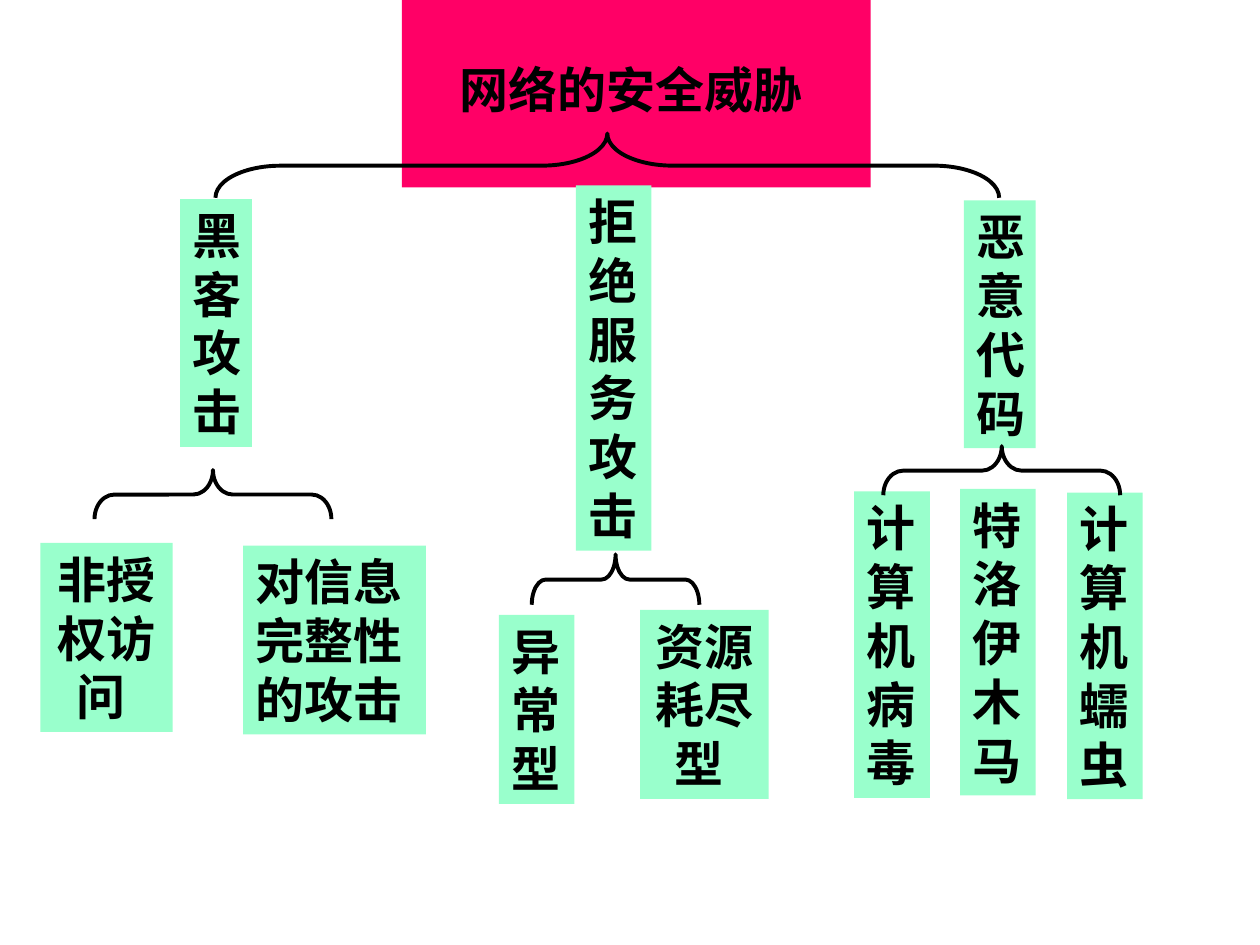
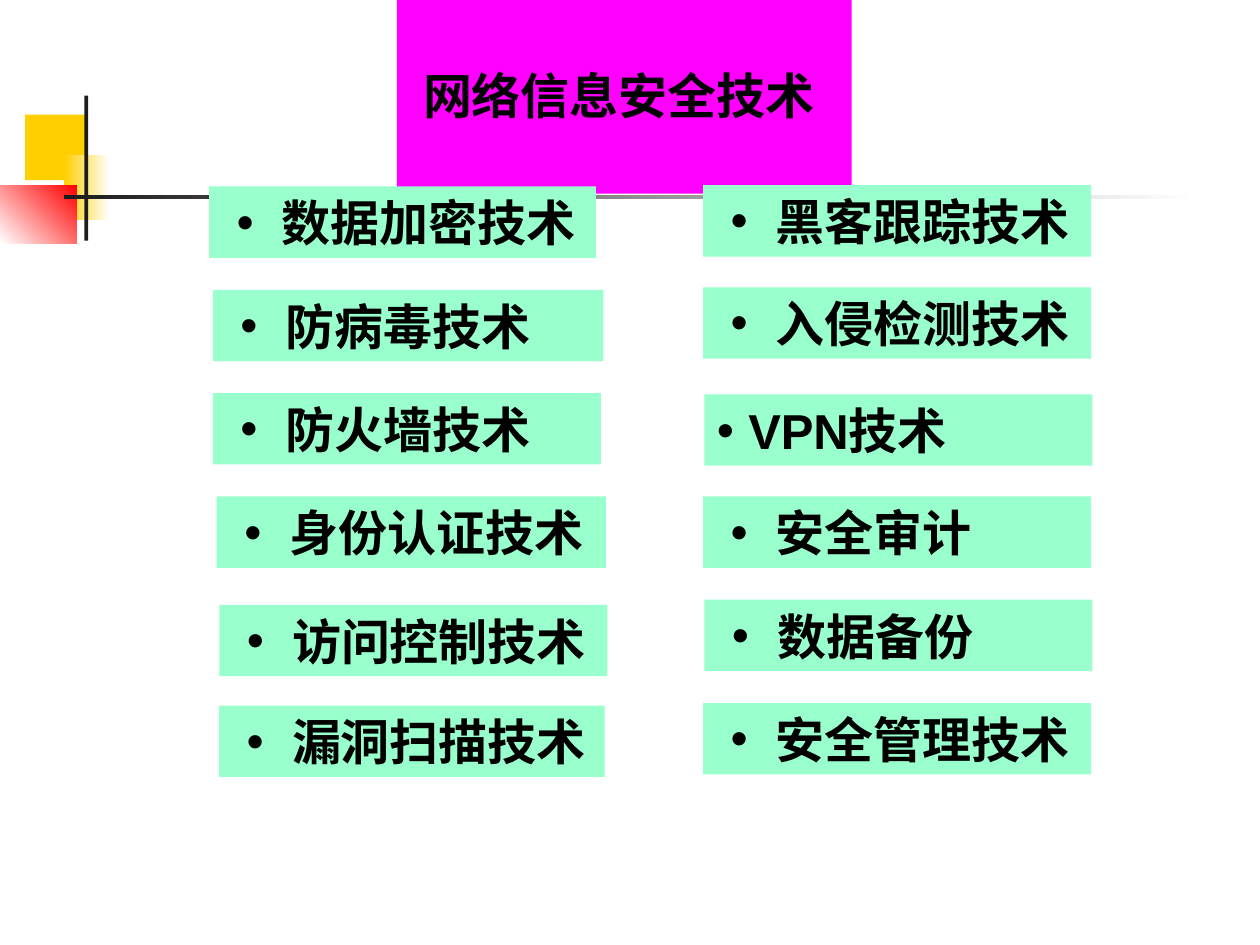
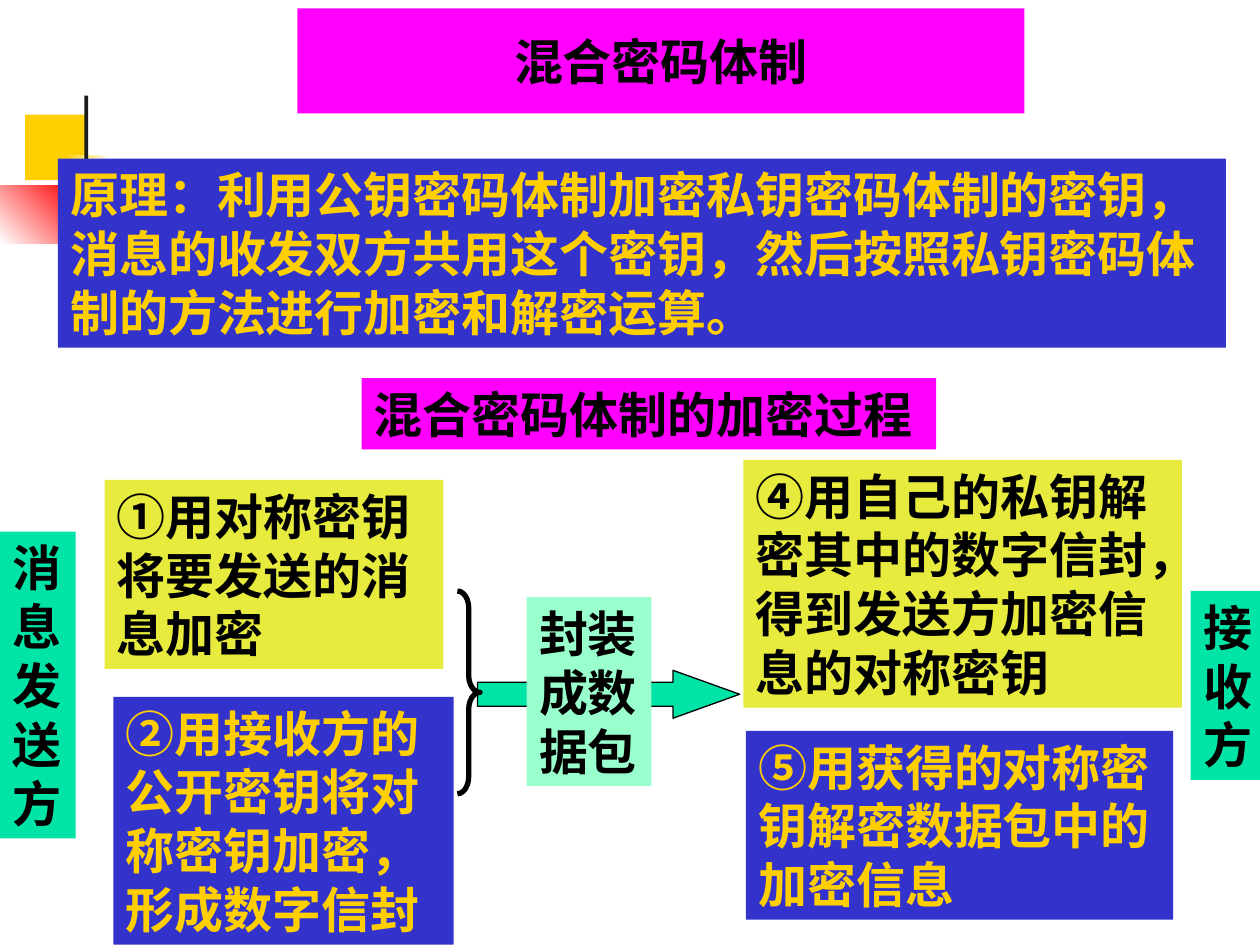
from dataclasses import dataclass

from lxml import etree
from pptx import Presentation
from pptx.dml.color import RGBColor
from pptx.enum.lang import MSO_LANGUAGE_ID
from pptx.enum.shapes import MSO_SHAPE
from pptx.enum.text import MSO_ANCHOR, MSO_AUTO_SIZE, PP_ALIGN
from pptx.oxml.ns import qn
from pptx.shapes.autoshape import Shape
from pptx.slide import Slide
from pptx.util import Inches, Pt

RECTANGLE = MSO_SHAPE.RECTANGLE
RIGHT_ARROW = MSO_SHAPE.RIGHT_ARROW
LEFT_BRACE = MSO_SHAPE.LEFT_BRACE
RIGHT_BRACE = MSO_SHAPE.RIGHT_BRACE
LEFT = PP_ALIGN.LEFT
CENTER = PP_ALIGN.CENTER
MIDDLE = MSO_ANCHOR.MIDDLE
FIT_SHAPE = MSO_AUTO_SIZE.SHAPE_TO_FIT_TEXT
CHINESE = MSO_LANGUAGE_ID.SIMPLIFIED_CHINESE

COLOURS = {
    "black": "000000",
    "white": "FFFFFF",
    "charcoal": "1C1C1C",
    "crimson": "FF0066",
    "magenta": "FF00FF",
    "mint": "99FFCC",
    "teal": "00E4A8",
    "lime": "E7EB3D",
    "blue": "3333CC",
    "gold": "FFCF01",
    "red": "FF0000",
}
FONT = "Arial"
TEXT_SIZE = 28
LINE_HEIGHT = TEXT_SIZE / 60
TITLE_ONLY = 5


@dataclass(frozen=True)
class Label:
    """A filled text box whose height follows from its number of lines."""

    text: str
    left: float
    top: float
    width: float
    lines: int = 1
    fill: str = "mint"
    colour: str = "black"
    align: PP_ALIGN = LEFT


@dataclass(frozen=True)
class Brace:
    """The visible extent of a brace that opens downwards."""

    left: float
    top: float
    width: float
    height: float


@dataclass(frozen=True)
class Ornament:
    """A template rectangle, plain or fading from fill to fade."""

    left: float
    top: float
    width: float
    height: float
    fill: str
    fade: str = ""
    angle: int = 180


ORNAMENTS = [
    Ornament(0.2, 0.91, 0.48, 0.52, "gold"),
    Ornament(0.51, 1.23, 0.36, 0.52, "white", "gold"),
    Ornament(0, 1.47, 0.61, 0.46, "red", "white", 225),
    Ornament(0.67, 0.76, 0.03, 1.15, "charcoal"),
]
RULE = Ornament(0.51, 1.55, 9, 0.03, "white", "charcoal")

THREAT_TITLE = Label("网络的安全威胁 ", 3.19, 0.42, 3.72, fill="crimson", align=CENTER)
THREATS = [
    Label("黑客攻击", 1.43, 1.58, 0.57, 4),
    Label("恶意代码", 7.65, 1.59, 0.57, 4),
    Label("拒绝服务攻击", 4.57, 1.47, 0.6, 6),
    Label("非授权访问 ", 0.32, 4.31, 1.05, 3, align=CENTER),
    Label("对信息完整性的攻击", 1.93, 4.33, 1.45, 3),
    Label("计算机病毒", 6.78, 3.9, 0.6, 5),
    Label("特洛伊木马", 7.62, 3.88, 0.6, 5),
    Label("计算机蠕虫", 8.47, 3.91, 0.6, 5),
    Label("资源耗尽型 ", 5.08, 4.84, 1.02, 3, align=CENTER),
    Label("异常型", 3.96, 4.88, 0.6, 3),
]
THREAT_BRACES = [
    Brace(1.71, 1.06, 6.22, 0.51),
    Brace(0.75, 3.73, 1.88, 0.39),
    Brace(7.01, 3.54, 1.88, 0.39),
    Brace(4.22, 4.4, 1.33, 0.4),
]

TECHNIQUE_TITLE = Label("网络信息安全技术 ", 3.15, 0.47, 3.61, fill="magenta", align=CENTER)
TECHNIQUES = [
    Label("数据加密技术", 1.66, 1.48, 3.07),
    Label("防病毒技术", 1.69, 2.3, 3.1),
    Label("防火墙技术", 1.69, 3.12, 3.08),
    Label("身份认证技术", 1.72, 3.94, 3.09),
    Label("访问控制技术", 1.74, 4.8, 3.08),
    Label("漏洞扫描技术", 1.74, 5.6, 3.06),
    Label("黑客跟踪技术", 5.58, 1.47, 3.08),
    Label("入侵检测技术", 5.58, 2.28, 3.08),
    Label("VPN技术", 5.59, 3.13, 3.08),
    Label("安全审计", 5.58, 3.94, 3.08),
    Label("数据备份", 5.59, 4.76, 3.08),
    Label("安全管理技术", 5.58, 5.58, 3.08),
]

HYBRID_TITLE = Label("混合密码体制", 2.36, 0.2, 5.77, fill="magenta", align=CENTER)
HYBRID_STEPS = [
    Label("原理：利用公钥密码体制加密私钥密码体制的密钥，消息的收发双方共用这个密钥，"
          "然后按照私钥密码体制的方法进行加密和解密运算。",
          0.46, 1.26, 9.27, 3, "blue", "gold"),
    Label("混合密码体制的加密过程", 2.87, 3, 4.56, fill="magenta"),
    Label("①用对称密钥将要发送的消息加密", 0.83, 3.81, 2.69, 3, "lime"),
    Label("②用接收方的公开密钥将对称密钥加密，形成数字信封",
          0.9, 5.53, 2.7, 4, "blue", "gold"),
    Label("消息发送方", 0, 4.22, 0.6, 5, "teal"),
    Label("封装成数据包", 4.18, 4.74, 0.99, 3),
    Label("④用自己的私钥解密其中的数字信封，得到发送方加密信息的对称密钥",
          5.9, 3.65, 3.48, 4, "lime"),
    Label("接收方", 9.45, 4.69, 0.55, 3, "teal"),
    Label("⑤用获得的对称密钥解密数据包中的加密信息",
          5.92, 5.8, 3.39, 3, "blue", "gold"),
]


def rgb(name: str) -> RGBColor:
    """Look up a colour by name."""
    return RGBColor.from_string(COLOURS[name])


def style_label(box: Shape, label: Label) -> None:
    """Place a box, fill it and set its text."""
    box.left, box.top = Inches(label.left), Inches(label.top)
    box.width = Inches(label.width)
    box.height = Inches(0.1 + LINE_HEIGHT * label.lines)
    box.fill.solid()
    box.fill.fore_color.rgb = rgb(label.fill)
    frame = box.text_frame
    frame.text = label.text
    frame.word_wrap = True
    frame.auto_size = FIT_SHAPE
    frame.vertical_anchor = MIDDLE
    para = frame.paragraphs[0]
    para.alignment = label.align
    font = para.runs[0].font
    font.name, font.size, font.bold = FONT, Pt(TEXT_SIZE), True
    font.color.rgb = rgb(label.colour)
    font.language_id = CHINESE


def add_label(slide: Slide, label: Label) -> Shape:
    """Add a filled text box."""
    box = slide.shapes.add_textbox(0, 0, 0, 0)
    style_label(box, label)
    return box


def add_bullet(box: Shape, margin: float, hang: float) -> None:
    """Give the only paragraph of a box a hanging bullet."""
    properties = box.text_frame.paragraphs[0]._p.get_or_add_pPr()
    properties.set("marL", str(Inches(margin)))
    properties.set("indent", str(-Inches(hang)))
    bullet_font = etree.SubElement(properties, qn("a:buFont"))
    bullet_font.set("typeface", FONT)
    etree.SubElement(properties, qn("a:buChar")).set("char", "•")


def add_plain_shape(slide: Slide, kind: MSO_SHAPE, left: float, top: float,
                    width: float, height: float) -> Shape:
    """Add a preset shape without a shadow."""
    shape = slide.shapes.add_shape(
        kind, Inches(left), Inches(top), Inches(width), Inches(height))
    shape.shadow.inherit = False
    return shape


def add_upright_brace(slide: Slide, kind: MSO_SHAPE, left: float, top: float,
                      width: float, height: float, weight: float) -> Shape:
    """Add a black brace whose curls take a twelfth of its height."""
    brace = add_plain_shape(slide, kind, left, top, width, height)
    brace.adjustments[0] = height / 12 / width
    brace.fill.background()
    brace.line.color.rgb = rgb("black")
    brace.line.width = Pt(weight)
    return brace


def add_downward_brace(slide: Slide, brace: Brace) -> None:
    """Turn an upright brace so that its tip points up."""
    shift = (brace.width - brace.height) / 2
    shape = add_upright_brace(slide, LEFT_BRACE, brace.left + shift,
                              brace.top - shift, brace.height, brace.width, 2.25)
    shape.rotation = 90


def add_ornament(slide: Slide, ornament: Ornament) -> None:
    """Add one rectangle of the template's decoration."""
    shape = add_plain_shape(slide, RECTANGLE, ornament.left, ornament.top,
                            ornament.width, ornament.height)
    shape.line.fill.background()
    if ornament.fade:
        shape.fill.gradient()
        shape.fill.gradient_angle = ornament.angle
        for stop, name in zip(shape.fill.gradient_stops, (ornament.fill, ornament.fade)):
            stop.color.rgb = rgb(name)
    else:
        shape.fill.solid()
        shape.fill.fore_color.rgb = rgb(ornament.fill)


def add_page(deck: Presentation, title: Label, ornaments: list[Ornament]) -> Slide:
    """Add a slide with its decoration and title."""
    page = deck.slides.add_slide(deck.slide_layouts[TITLE_ONLY])
    style_label(page.shapes.title, title)
    for ornament in ornaments:
        add_ornament(page, ornament)
    return page


def build_threats(deck: Presentation) -> None:
    """Build the tree of network threats."""
    page = add_page(deck, THREAT_TITLE, [])
    for threat in THREATS:
        add_label(page, threat)
    for brace in THREAT_BRACES:
        add_downward_brace(page, brace)


def build_techniques(deck: Presentation) -> None:
    """Build the two columns of security techniques."""
    page = add_page(deck, TECHNIQUE_TITLE, ORNAMENTS + [RULE])
    for technique in TECHNIQUES:
        margin, hang = (0.25, 0.25) if technique.text.startswith("VPN") else (0.48, 0.36)
        add_bullet(add_label(page, technique), margin, hang)


def build_hybrid(deck: Presentation) -> None:
    """Build the flow of the hybrid cipher system."""
    page = add_page(deck, HYBRID_TITLE, ORNAMENTS)
    arrow = add_plain_shape(page, RIGHT_ARROW, 3.79, 5.32, 2.08, 0.38)
    arrow.adjustments[1] = 1.39
    arrow.fill.solid()
    arrow.fill.fore_color.rgb = rgb("teal")
    arrow.line.color.rgb = rgb("black")
    arrow.line.width = Pt(0.75)
    for step in HYBRID_STEPS:
        add_label(page, step)
    add_upright_brace(page, RIGHT_BRACE, 3.63, 4.69, 0.18, 1.61, 3)


def main() -> None:
    """Build and save the deck."""
    deck = Presentation()
    deck.slide_width, deck.slide_height = Inches(10), Inches(7.5)
    build_threats(deck)
    build_techniques(deck)
    build_hybrid(deck)
    deck.save("out.pptx")


if __name__ == "__main__":
    main()
